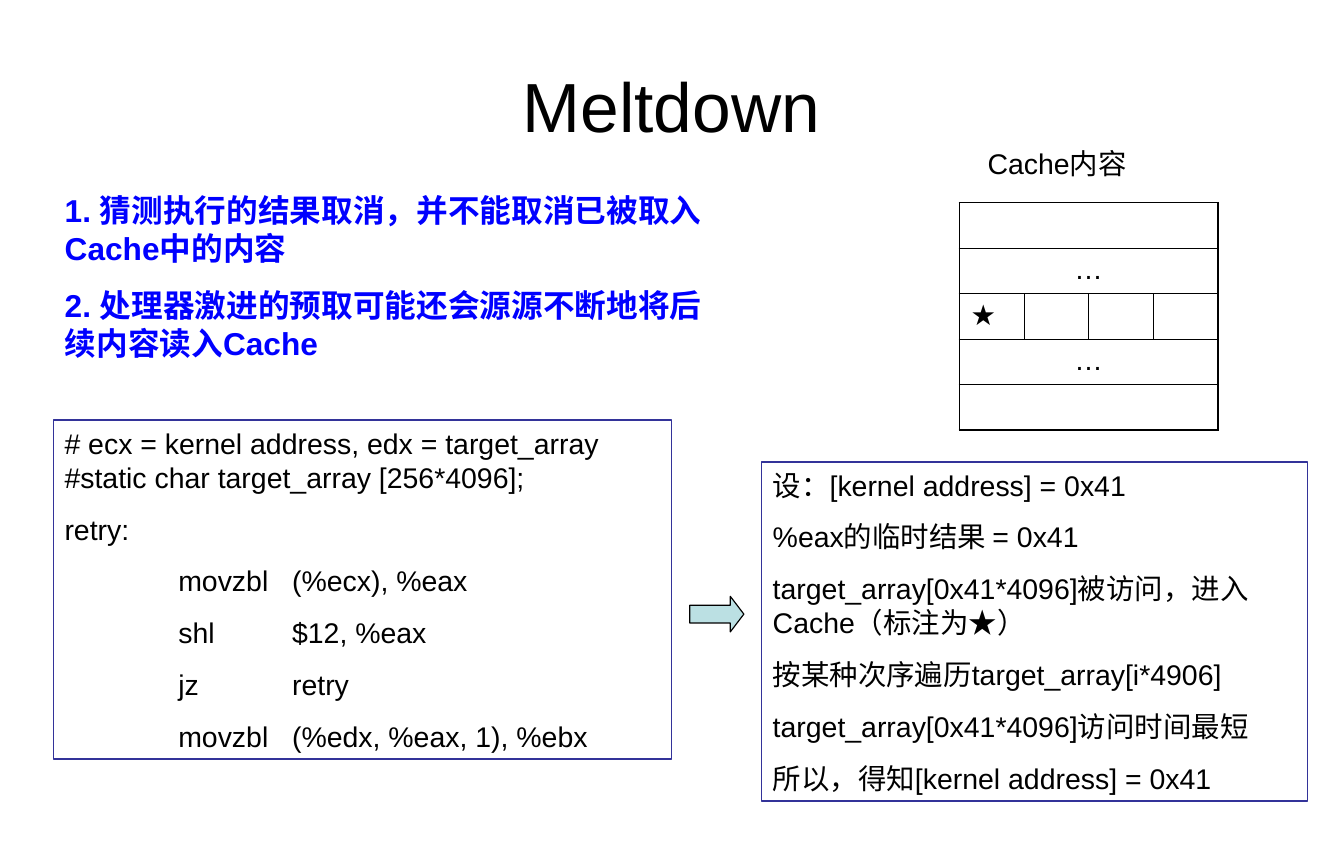
from lxml import etree
from pptx import Presentation
from pptx import util as u
from pptx.dml.color import RGBColor
from pptx.enum import shapes, text
from pptx.oxml.ns import qn

PX = u.Inches(1) // 160  # 160 px to the inch
THEME = {
    "font": "Arial",
    "ink": RGBColor.from_string("000000"),
    "point": RGBColor.from_string("0000FF"),
    "frame": RGBColor.from_string("333399"),
    "arrow": RGBColor.from_string("BBE0E3"),
    "title_size": 44, "point_size": 20, "text_size": 18,
    "thin": 0.45, "thick": 1.08, "outline": 0.75,
}


def write(frame, lines, size=THEME["text_size"], color=THEME["ink"], bold=False,
          align=text.PP_ALIGN.LEFT, anchor=text.MSO_ANCHOR.TOP,
          gap=11.2, tight=(), tabs=(), unbulleted=False):
    """Fill a text frame; lines whose index is in tight get no space before."""
    frame.word_wrap = True
    frame.auto_size = text.MSO_AUTO_SIZE.NONE
    frame.vertical_anchor = anchor
    for index, line in enumerate(lines):
        paragraph = frame.add_paragraph() if index else frame.paragraphs[0]
        props = paragraph._p.get_or_add_pPr()
        if unbulleted:
            props.set("marL", "0")
            props.set("indent", "0")
            etree.SubElement(props, qn("a:buNone"))
        if tabs:
            stops = etree.SubElement(props, qn("a:tabLst"))
            for stop in tabs:
                etree.SubElement(stops, qn("a:tab"), pos=str(stop * PX), algn="l")
        paragraph.alignment = align
        paragraph.space_before = u.Pt(gap if index and index not in tight else 0)
        run = paragraph.add_run()
        run.text = line
        run.font.name = THEME["font"]
        run.font.size = u.Pt(size)
        run.font.bold = bold
        run.font.color.rgb = color


def place(shape, left, top, width, height):
    shape.left, shape.top = left * PX, top * PX
    shape.width, shape.height = width * PX, height * PX


deck = Presentation()
deck.slide_width, deck.slide_height = 1890 * PX, 1200 * PX
slide = deck.slides.add_slide(deck.slide_layouts[1])

# Title
heading = slide.shapes.title
place(heading, 94, 48, 1701, 199)
write(heading.text_frame, ["Meltdown"], size=THEME["title_size"],
      align=text.PP_ALIGN.CENTER, anchor=text.MSO_ANCHOR.MIDDLE)

# Key points
points = slide.placeholders[1]
place(points, 75, 260, 933, 258)
write(points.text_frame, [
    "1. 猜测执行的结果取消，并不能取消已被取入Cache中的内容",
    "2. 处理器激进的预取可能还会源源不断地将后续内容读入Cache",
], size=THEME["point_size"], color=THEME["point"], bold=True, gap=12.5, unbulleted=True)

# Cache table: one split line among full-width lines
ROWS, COLS, SPLIT = 5, 4, 2
cache = slide.shapes.add_table(ROWS, COLS, 1349 * PX, 285 * PX, 364 * PX, 320 * PX).table
cache.first_row = cache.horz_banding = False
cache._tbl.tblPr.find(qn("a:tableStyleId")).text = "{2D5ABB26-0587-4C30-8999-92F81FD0307C}"
for row in range(ROWS):
    split = row == SPLIT
    if not split:
        cache.cell(row, 0).merge(cache.cell(row, COLS - 1))
    for col in range(COLS):
        cell = cache.cell(row, col)
        cell.margin_bottom = 0
        outer = {"L": col == 0, "R": col == COLS - 1 or cell.is_merge_origin,
                 "T": row == 0, "B": row == ROWS - 1}
        for side, is_outer in outer.items():
            if side in "LR" and not (split or is_outer):
                continue
            width = u.Pt(THEME["thick" if is_outer else "thin"])
            border = etree.SubElement(cell._tc.get_or_add_tcPr(), qn(f"a:ln{side}"), w=str(width))
            fill = etree.SubElement(border, qn("a:solidFill"))
            etree.SubElement(fill, qn("a:srgbClr"), val=str(THEME["ink"]))
        cell.fill.background()
for row in (SPLIT - 1, SPLIT + 1):
    write(cache.cell(row, 0).text_frame, ["…"], align=text.PP_ALIGN.CENTER)
write(cache.cell(SPLIT, 0).text_frame, ["★"])

# Cache caption
caption = slide.shapes.add_textbox(1373 * PX, 197 * PX, 277 * PX, 64 * PX)
write(caption.text_frame, ["Cache内容"])

# Attack code and its explanation
attack_code = [
    "# ecx = kernel address, edx = target_array",
    "#static char target_array [256*4096];",
    "retry:",
    "\tmovzbl\t(%ecx), %eax",
    "\tshl\t$12, %eax",
    "\tjz\tretry",
    "\tmovzbl\t(%edx, %eax, 1), %ebx",
]
explanation = [
    "设：[kernel address] = 0x41",
    "%eax的临时结果 = 0x41",
    "target_array[0x41*4096]被访问，进入Cache（标注为★）",
    "按某种次序遍历target_array[i*4906]",
    "target_array[0x41*4096]访问时间最短",
    "所以，得知[kernel address] = 0x41",
]
for lines, left, top, width, layout in (
    (attack_code, 75, 591, 869, {"tight": (1,), "tabs": (160, 320)}),
    (explanation, 1071, 650, 768, {}),
):
    panel = slide.shapes.add_shape(shapes.MSO_SHAPE.RECTANGLE,
                                   left * PX, top * PX, width * PX, 477 * PX)
    panel.shadow.inherit = False
    panel.fill.background()
    panel.line.color.rgb = THEME["frame"]
    panel.line.width = u.Pt(THEME["outline"])
    write(panel.text_frame, lines, **layout)

# Arrow from code to explanation
leads_to = slide.shapes.add_shape(shapes.MSO_SHAPE.RIGHT_ARROW,
                                  970 * PX, 839 * PX, 76 * PX, 50 * PX)
leads_to.adjustments[0], leads_to.adjustments[1] = 0.5, 0.38
leads_to.shadow.inherit = False
leads_to.fill.solid()
leads_to.fill.fore_color.rgb = THEME["arrow"]
leads_to.line.color.rgb = THEME["ink"]
leads_to.line.width = u.Pt(THEME["outline"])

deck.save("out.pptx")
